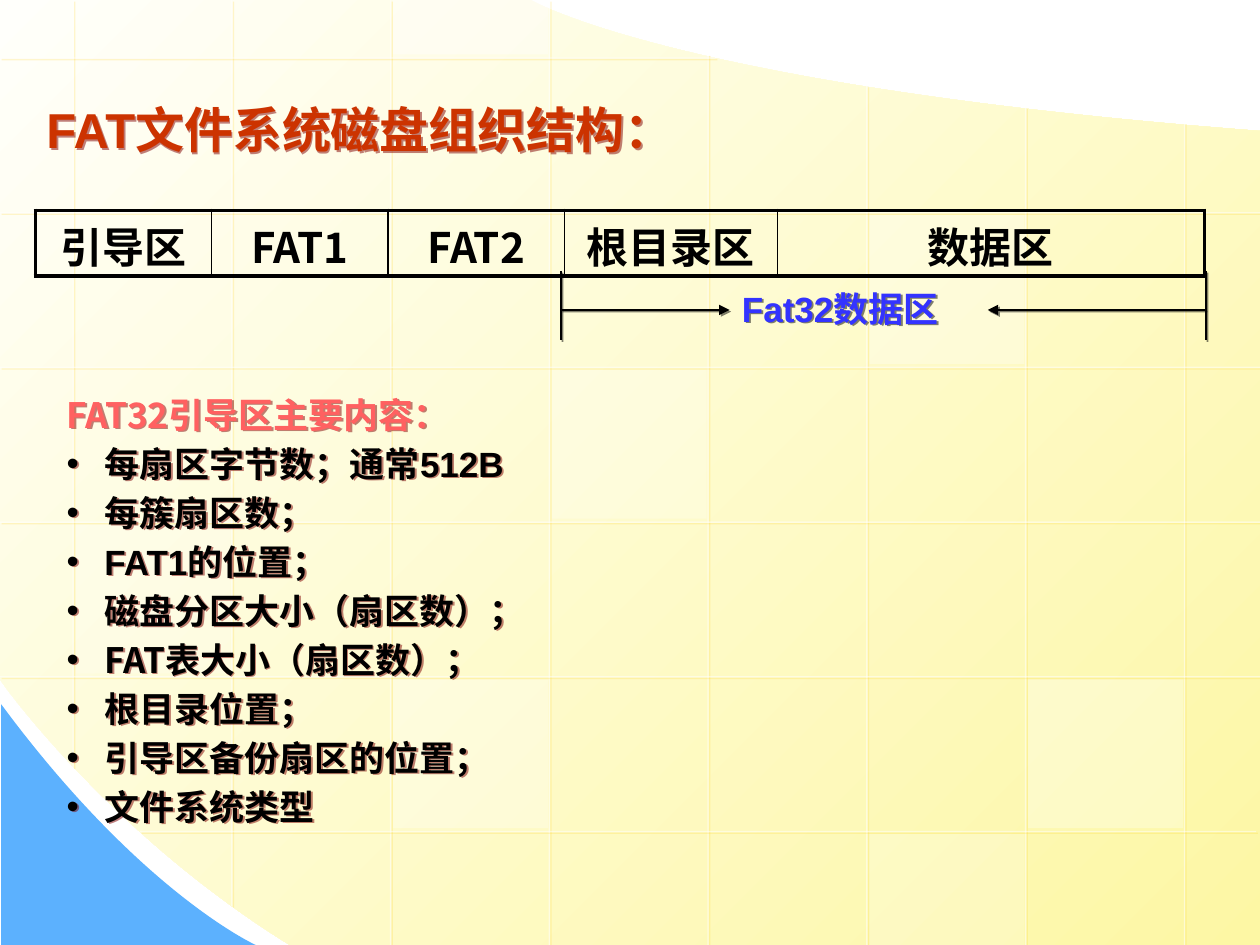
import pptx
import pptx.dml.color
import pptx.enum.shapes
import pptx.enum.text
import pptx.oxml
import pptx.oxml.ns
import pptx.util
from pptx.util import Inches

NAMESPACE = pptx.oxml.ns.nsdecls("a")
CJK_FONT = "Noto Sans CJK SC"


def color(hex_string):
    return pptx.dml.color.RGBColor.from_string(hex_string)


def write_text(paragraph, text, size=20, font="Arial", fill="000000", bullet=False, before=0,
               align=pptx.enum.text.PP_ALIGN.LEFT):
    if bullet:
        properties = paragraph._p.get_or_add_pPr()
        properties.set("marL", str(Inches(0.3)))
        properties.set("indent", str(Inches(-0.3)))
        properties.append(pptx.oxml.parse_xml(f'<a:buFont {NAMESPACE} typeface="Arial"/>'))
        properties.append(pptx.oxml.parse_xml(f'<a:buChar {NAMESPACE} char="•"/>'))
    paragraph.alignment = align
    paragraph.line_spacing = pptx.util.Pt(size * 1.2)
    paragraph.space_before = pptx.util.Pt(before)
    run = paragraph.add_run()
    run.text = text
    run.font.size = pptx.util.Pt(size)
    run.font.bold = True
    run.font.name = font
    run.font.color.rgb = color(fill)
    run._r.get_or_add_rPr().append(
        pptx.oxml.parse_xml(f'<a:ea {NAMESPACE} typeface="{CJK_FONT}"/>'))


presentation = pptx.Presentation()
presentation.slide_width = Inches(10)
presentation.slide_height = Inches(7.5)
slide = presentation.slides.add_slide(presentation.slide_layouts[6])
shapes = slide.shapes
shadowed = []

background_segments = [
    [(10, 1.04)],
    [(10, 7.5)],
    [(2.3, 7.5)],
    [(0.86, 6.61), (-0.01, 5.39), (0, 5.39)],
    [(0, 0)],
    [(4.21, 0)],
    [(4.21, 0), (5.37, 0.69), (10, 1.04)],
]
corner_segments = [
    [(0.01, 5.59)],
    [(0.01, 7.5)],
    [(2.03, 7.5)],
    [(2.03, 7.5), (1.12, 7.09), (0.01, 5.59)],
]
outlines = []
for segments in (background_segments, corner_segments):
    points = [(Inches(x), Inches(y)) for segment in segments for x, y in segment]
    builder = shapes.build_freeform(*points[0], scale=1.0)
    builder.add_line_segments(points[1:], close=True)
    shape = builder.convert_to_shape()
    edges = iter(list(shape._element.iter(pptx.oxml.ns.qn("a:lnTo"))))
    for segment in segments[1:]:
        controls = [next(edges) for point in segment]
        if len(controls) == 3:
            curve = pptx.oxml.parse_xml(f'<a:cubicBezTo {NAMESPACE}/>')
            controls[0].addprevious(curve)
            for control in controls:
                curve.append(control[0])
                control.getparent().remove(control)
    shape.shadow.inherit = False
    shape.line.fill.background()
    outlines.append(shape)

background, corner = outlines
background.fill.gradient()
background.fill.gradient_angle = 315
for stop, position, shade in zip(background.fill.gradient_stops, (0, 1), ("FFFFFB", "FDF7A4")):
    stop.position = position
    stop.color.rgb = color(shade)
corner.fill.solid()
corner.fill.fore_color.rgb = color("5CB1FE")

grid_left, grid_top, column_step, row_step = 0.58, 0.46, 1.26, 1.228
panels = [(3, 2, 25), (6, 4, 30), (0, 3, 20), (5, 5, 20), (2, -1, 40), (2, 4, 30), (5, 1, 30)]
for column, row, opacity in panels:
    left = grid_left + column * column_step + 0.02
    top = grid_top + row * row_step + 0.02
    bottom = min(top + 1.18, 7.5)
    top = max(top, 0)
    panel = shapes.add_shape(pptx.enum.shapes.MSO_SHAPE.RECTANGLE, Inches(left), Inches(top),
                             Inches(1.23), Inches(bottom - top))
    panel.shadow.inherit = False
    panel.line.fill.background()
    panel.fill.solid()
    panel.fill.fore_color.rgb = color("FFFFFF")
    panel.fill._xPr.find(".//" + pptx.oxml.ns.qn("a:srgbClr")).append(
        pptx.oxml.parse_xml(f'<a:alpha {NAMESPACE} val="{opacity * 1000}"/>'))

grid_lines = []
column_tops = [0, 0, 0, 0, 0.43, 0.68, 0.85, 0.98]
column_bottoms = [6.09, 7.19] + [7.5] * 6
for column, (top, bottom) in enumerate(zip(column_tops, column_bottoms)):
    x = grid_left + column * column_step
    grid_lines.append((x, top, x, bottom, False))
for row, (start, end) in enumerate([(5.68, 0)] + [(10, 0)] * 4 + [(9.97, 1.11)]):
    y = grid_top + row * row_step
    grid_lines.append((start, y, end, y, False))
range_lines = [
    (9.57, 2.15, 9.57, 2.7, False),
    (4.45, 2.15, 4.45, 2.7, False),
    (4.45, 2.46, 5.79, 2.46, True),
    (9.57, 2.46, 7.84, 2.46, True),
]
line_styles = [
    (grid_lines, "FFFFFF", 0.75, 50, "FFCC00", 34),
    (range_lines, "000000", 1, 100, "000000", 50),
]
for lines, line_color, width, opacity, shadow_color, shadow_opacity in line_styles:
    for x1, y1, x2, y2, arrow in lines:
        line = shapes.add_connector(pptx.enum.shapes.MSO_CONNECTOR.STRAIGHT,
                                    Inches(x1), Inches(y1), Inches(x2), Inches(y2))
        line.line.width = pptx.util.Pt(width)
        line.line.color.rgb = color(line_color)
        outline = line.line._get_or_add_ln()
        outline.find(".//" + pptx.oxml.ns.qn("a:srgbClr")).append(
            pptx.oxml.parse_xml(f'<a:alpha {NAMESPACE} val="{opacity * 1000}"/>'))
        if arrow:
            outline.append(pptx.oxml.parse_xml(f'<a:tailEnd {NAMESPACE} type="triangle"/>'))
        shadowed.append((line, shadow_color, shadow_opacity))

areas = [("引导区", 1.4), ("FAT1", 1.4), ("FAT2", 1.4), ("根目录区", 1.69), ("数据区", 3.39)]
table = shapes.add_table(1, len(areas), Inches(0.28), Inches(1.67),
                         Inches(9.28), Inches(0.5)).table
table.first_row = False
table.horz_banding = False
table.rows[0].height = Inches(0.5)
for index, (name, width) in enumerate(areas):
    table.columns[index].width = Inches(width)
    cell = table.cell(0, index)
    cell.margin_top = Inches(0.12)
    cell.margin_bottom = 0
    write_text(cell.text_frame.paragraphs[0], name, size=24, font=CJK_FONT,
               align=pptx.enum.text.PP_ALIGN.CENTER)
    borders = {"L": 2.25 if index == 0 else 1,
               "R": 2.25 if index == len(areas) - 1 else 1,
               "T": 2.25, "B": 2.25}
    properties = cell._tc.get_or_add_tcPr()
    for side, weight in borders.items():
        properties.append(pptx.oxml.parse_xml(
            f'<a:ln{side} {NAMESPACE} w="{pptx.util.Pt(weight)}"><a:solidFill>'
            f'<a:srgbClr val="000000"/></a:solidFill></a:ln{side}>'))
    cell.fill.background()

title = [("FAT文件系统磁盘组织结构：", {"size": 28, "fill": "CC3300"})]
range_label = [("Fat32数据区", {"fill": "3333FF"})]
item = {"bullet": True, "before": 4}
cjk_item = {**item, "font": CJK_FONT}
boot_contents = [
    ("FAT32引导区主要内容：", {"font": CJK_FONT, "fill": "FF6161"}),
    ("每扇区字节数；通常512B", item),
    ("每簇扇区数；", item),
    ("FAT1的位置；", item),
    ("磁盘分区大小（扇区数）；", item),
    ("FAT表大小（扇区数）；", cjk_item),
    ("根目录位置；", cjk_item),
    ("引导区备份扇区的位置；", cjk_item),
    ("文件系统类型", cjk_item),
]
text_boxes = [
    (title, 0.27, 0.74, 6.38, 0.57, "800000"),
    (boot_contents, 0.43, 3.07, 5.51, 3.67, "800000"),
    (range_label, 5.79, 2.23, 2.84, 0.5, "000000"),
]
for paragraphs, left, top, width, height, shadow_color in text_boxes:
    box = shapes.add_textbox(Inches(left), Inches(top), Inches(width), Inches(height))
    frame = box.text_frame
    frame.word_wrap = True
    for index, (text, text_format) in enumerate(paragraphs):
        paragraph = frame.add_paragraph() if index else frame.paragraphs[0]
        write_text(paragraph, text, **text_format)
    shadowed.append((box, shadow_color, 50))

for shape, shadow_color, opacity in shadowed:
    shape._element.spPr.append(pptx.oxml.parse_xml(
        f'<a:effectLst {NAMESPACE}><a:outerShdw dist="{pptx.util.Pt(1.4)}" dir="2700000">'
        f'<a:srgbClr val="{shadow_color}"><a:alpha val="{opacity * 1000}"/></a:srgbClr>'
        '</a:outerShdw></a:effectLst>'))

presentation.save("out.pptx")
